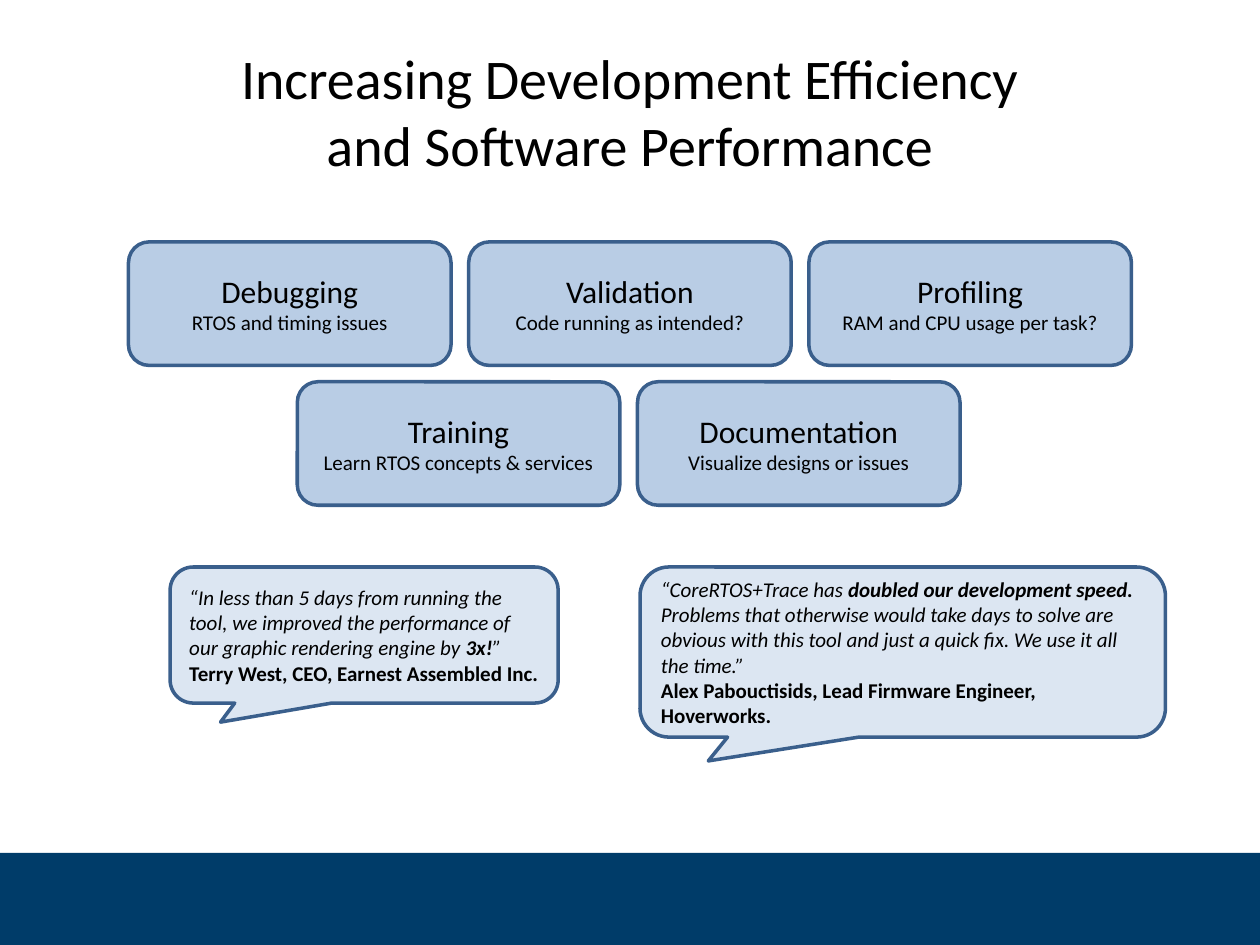
"""Build a slide on the development benefits of a tracing tool, with two customer quotes."""
from copy import deepcopy

from pptx import Presentation
from pptx.dml.color import RGBColor
from pptx.enum.shapes import MSO_SHAPE
from pptx.enum.text import MSO_ANCHOR, PP_ALIGN
from pptx.util import Inches, Pt

RECTANGLE = MSO_SHAPE.RECTANGLE
ROUNDED = MSO_SHAPE.ROUNDED_RECTANGLE
CALLOUT = MSO_SHAPE.ROUNDED_RECTANGULAR_CALLOUT
MIDDLE = MSO_ANCHOR.MIDDLE
LEFT, CENTER = PP_ALIGN.LEFT, PP_ALIGN.CENTER

BLACK = RGBColor(0x00, 0x00, 0x00)
NAVY = RGBColor(0x00, 0x3C, 0x69)
OUTLINE = RGBColor(0x3A, 0x5F, 0x8C)
BENEFIT_BLUE = RGBColor(0xB9, 0xCD, 0xE5)
QUOTE_BLUE = RGBColor(0xDC, 0xE6, 0xF2)


def add_text(paragraph, text, size=12, bold=False, italic=False, align=LEFT):
    paragraph.alignment = align
    for index, line in enumerate(text.split("\n")):
        if index:
            paragraph.add_line_break()
            paragraph._p[-1].append(deepcopy(run._r.rPr))
        run = paragraph.add_run()
        run.text = line
        run.font.name = "Calibri"
        run.font.size = Pt(size)
        run.font.bold = bold
        run.font.italic = italic
        run.font.color.rgb = BLACK


def add_panel(kind, left, top, width, height, fill, outline=None):
    panel = slide.shapes.add_shape(
        kind, Inches(left), Inches(top), Inches(width), Inches(height))
    panel.shadow.inherit = False
    panel.fill.solid()
    panel.fill.fore_color.rgb = fill
    if outline is None:
        panel.line.fill.background()
    else:
        panel.line.color.rgb = outline
        panel.line.width = Pt(2)
    panel.text_frame.word_wrap = True
    panel.text_frame.vertical_anchor = MIDDLE
    return panel


prs = Presentation()
prs.slide_width, prs.slide_height = Inches(10), Inches(7.5)
slide = prs.slides.add_slide(prs.slide_layouts[6])

add_panel(RECTANGLE, 0, 6.77, 10, 0.73, NAVY)

title = slide.shapes.add_textbox(
    Inches(0.5), Inches(0.25), Inches(9), Inches(1.25)).text_frame
title.word_wrap = True
title.vertical_anchor = MIDDLE
add_text(title.paragraphs[0],
         "Increasing Development Efficiency\nand Software Performance",
         size=32, align=CENTER)

benefit_rows = [
    (1.02, [("Debugging", "RTOS and timing issues"),
            ("Validation", "Code running as intended?"),
            ("Profiling", "RAM and CPU usage per task?")]),
    (2.36, [("Training", "Learn RTOS concepts & services"),
            ("Documentation", "Visualize designs or issues")]),
]
for row, (row_left, benefits) in enumerate(benefit_rows):
    for column, (heading, detail) in enumerate(benefits):
        benefit = add_panel(ROUNDED, row_left + 2.7 * column, 1.92 + 1.11 * row,
                            2.56, 0.98, BENEFIT_BLUE, OUTLINE).text_frame
        add_text(benefit.paragraphs[0], heading, size=18, align=CENTER)
        add_text(benefit.add_paragraph(), detail, align=CENTER)

quotes = [
    (1.35, 3.08, 1.08,
     "“In less than 5 days from running the tool, we improved the performance "
     "of our graphic rendering engine by ",
     "3x!", "”\n", "Terry West, CEO, Earnest Assembled Inc."),
    (5.08, 4.17, 1.35,
     "“CoreRTOS+Trace has ", "doubled our development speed.",
     " Problems that otherwise would take days to solve are obvious with this "
     "tool and just a quick fix. We use it all the time.”\n",
     "Alex Pabouctisids, Lead Firmware Engineer, Hoverworks."),
]
for left, width, height, opening, emphasis, closing, author in quotes:
    quote = add_panel(CALLOUT, left, 4.5, width, height, QUOTE_BLUE, OUTLINE)
    quote.adjustments[0] = -0.37
    quote.adjustments[1] = 0.64
    quote.adjustments[2] = 0.17
    paragraph = quote.text_frame.paragraphs[0]
    add_text(paragraph, opening, italic=True)
    add_text(paragraph, emphasis, bold=True, italic=True)
    add_text(paragraph, closing, italic=True)
    add_text(paragraph, author, bold=True)

prs.save("out.pptx")
